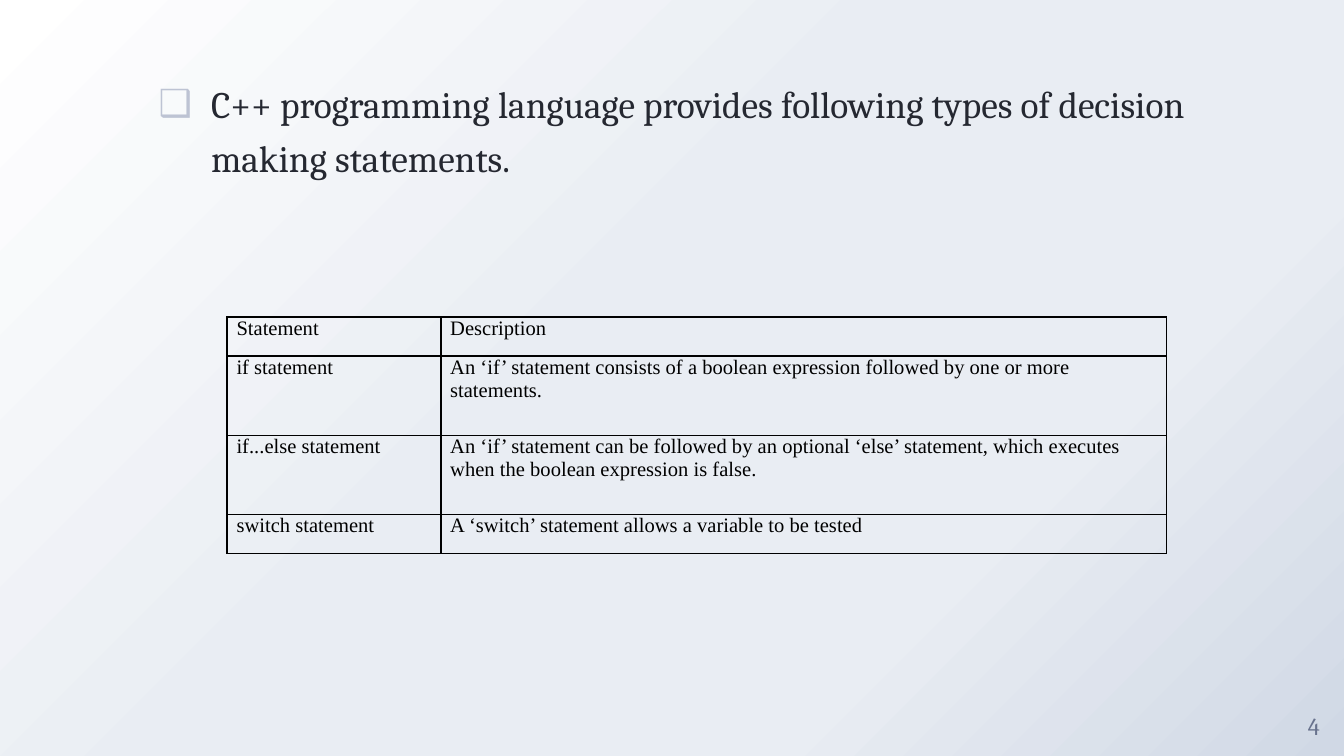
from dataclasses import dataclass

from lxml.etree import SubElement
from pptx import Presentation
from pptx.dml.color import RGBColor
from pptx.enum.text import MSO_ANCHOR, MSO_AUTO_SIZE, PP_ALIGN
from pptx.oxml.ns import qn
from pptx.util import Inches, Pt

INTRO = "C++ programming language provides following types of decision making statements."
PAGE_NUMBER = "4"
STATEMENTS = [
    ("Statement", "Description"),
    ("if statement",
     "An ‘if’ statement consists of a boolean expression followed by one or more statements."),
    ("if...else statement",
     "An ‘if’ statement can be followed by an optional ‘else’ statement, "
     "which executes when the boolean expression is false."),
    ("switch statement", "A ‘switch’ statement allows a variable to be tested"),
]


@dataclass(frozen=True)
class Theme:
    heading_font: str = "Cambria"
    table_font: str = "Times New Roman"
    intro_size: int = 20
    number_size: int = 13
    table_size: int = 11
    intro: str = "252831"
    bullet: str = "BDC3D3"
    number: str = "68728D"
    table: str = "000000"
    background: tuple = ((0, "FFFFFF"), (44, "E9EDF3"), (72, "E9EDF3"), (100, "D0D8E5"))


THEME = Theme()
WIDTH = 10
HEIGHT = WIDTH * 9 / 16
NUMBER_BOX = 0.45
TABLE_LEFT, TABLE_TOP = 1.69, 2.36
COLUMNS = (1.59, 5.4)
LINE_ROW = 0.29
ROWS = (LINE_ROW, 0.59, 0.59, LINE_ROW)
CELL_MARGIN = 0.07


def add_color(parent, color):
    SubElement(parent, qn("a:srgbClr"), val=color)


def write(frame, text, font, size, color):
    frame.text = text
    paragraph = frame.paragraphs[0]
    face = paragraph.runs[0].font
    face.name, face.size = font, Pt(size)
    face.color.rgb = RGBColor.from_string(color)
    return paragraph


def set_margins(holder, side=0):
    holder.margin_left = holder.margin_right = Inches(side)
    holder.margin_top = holder.margin_bottom = 0


def paint_background(slide):
    fill = slide.background.fill
    fill.gradient()
    fill.gradient_angle = 315
    stops = slide.element.find(".//" + qn("a:gsLst"))
    for stop in list(stops):
        stops.remove(stop)
    for percent, color in THEME.background:
        add_color(SubElement(stops, qn("a:gs"), pos=str(percent * 1000)), color)


def add_intro(slide):
    title, body = slide.shapes.title, slide.placeholders[1]
    title.element.getparent().remove(title.element)
    body.left, body.top, body.width, body.height = map(Inches, (1.07, 0.54, 8.35, 4.55))
    frame = body.text_frame
    set_margins(frame)
    frame.auto_size = MSO_AUTO_SIZE.NONE
    paragraph = write(frame, INTRO, THEME.heading_font, THEME.intro_size, THEME.intro)
    paragraph.line_spacing = 1.2
    paragraph.space_before = Pt(6)
    properties = paragraph._p.get_or_add_pPr()
    properties.set("marL", str(Inches(0.5)))
    properties.set("indent", str(Inches(-0.39)))
    add_color(SubElement(properties, qn("a:buClr")), THEME.bullet)
    SubElement(properties, qn("a:buChar"), char="❑")


def add_page_number(slide):
    box = slide.shapes.add_textbox(Inches(WIDTH - NUMBER_BOX), Inches(HEIGHT - NUMBER_BOX),
                                   Inches(NUMBER_BOX), Inches(NUMBER_BOX))
    frame = box.text_frame
    frame.word_wrap = True
    frame.vertical_anchor = MSO_ANCHOR.MIDDLE
    set_margins(frame)
    paragraph = write(frame, PAGE_NUMBER, THEME.heading_font, THEME.number_size, THEME.number)
    paragraph.alignment = PP_ALIGN.CENTER


def add_borders(cell):
    properties = cell._tc.get_or_add_tcPr()
    for side in "LRTB":
        line = SubElement(properties, qn(f"a:ln{side}"), w=str(Pt(1)))
        add_color(SubElement(line, qn("a:solidFill")), THEME.table)


def add_statement_table(slide):
    table = slide.shapes.add_table(
        len(ROWS), len(COLUMNS), Inches(TABLE_LEFT), Inches(TABLE_TOP),
        Inches(sum(COLUMNS)), Inches(sum(ROWS))).table
    table.first_row = table.horz_banding = False
    for column, width in zip(table.columns, COLUMNS):
        column.width = Inches(width)
    for row, height, texts in zip(table.rows, ROWS, STATEMENTS):
        row.height = Inches(height)
        for cell, text in zip(row.cells, texts):
            set_margins(cell, CELL_MARGIN)
            write(cell.text_frame, text, THEME.table_font, THEME.table_size, THEME.table)
            add_borders(cell)
            cell.fill.background()


def main():
    deck = Presentation()
    deck.slide_width, deck.slide_height = Inches(WIDTH), Inches(HEIGHT)
    slide = deck.slides.add_slide(deck.slide_layouts[1])
    paint_background(slide)
    add_intro(slide)
    add_page_number(slide)
    add_statement_table(slide)
    deck.save("out.pptx")


if __name__ == "__main__":
    main()
